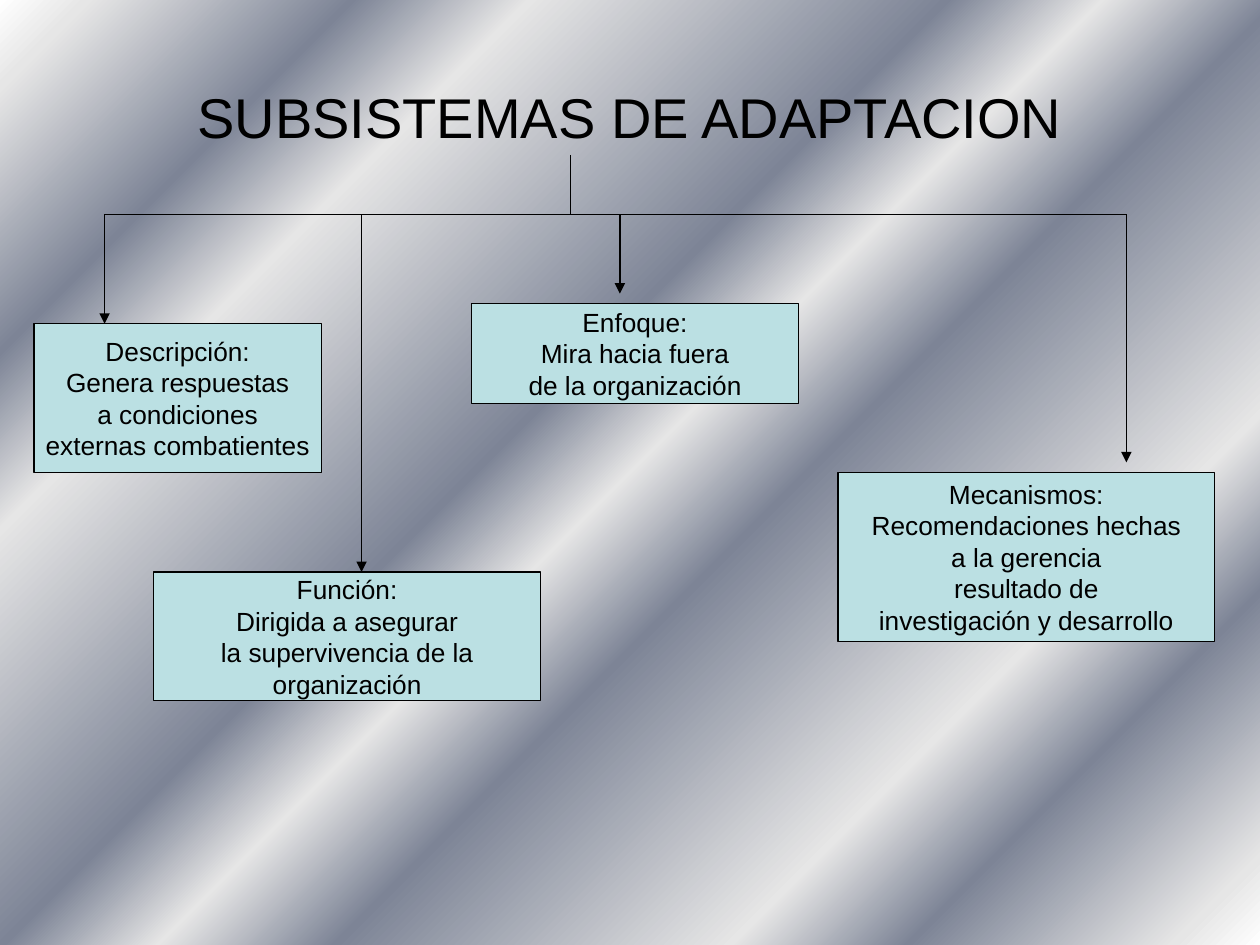
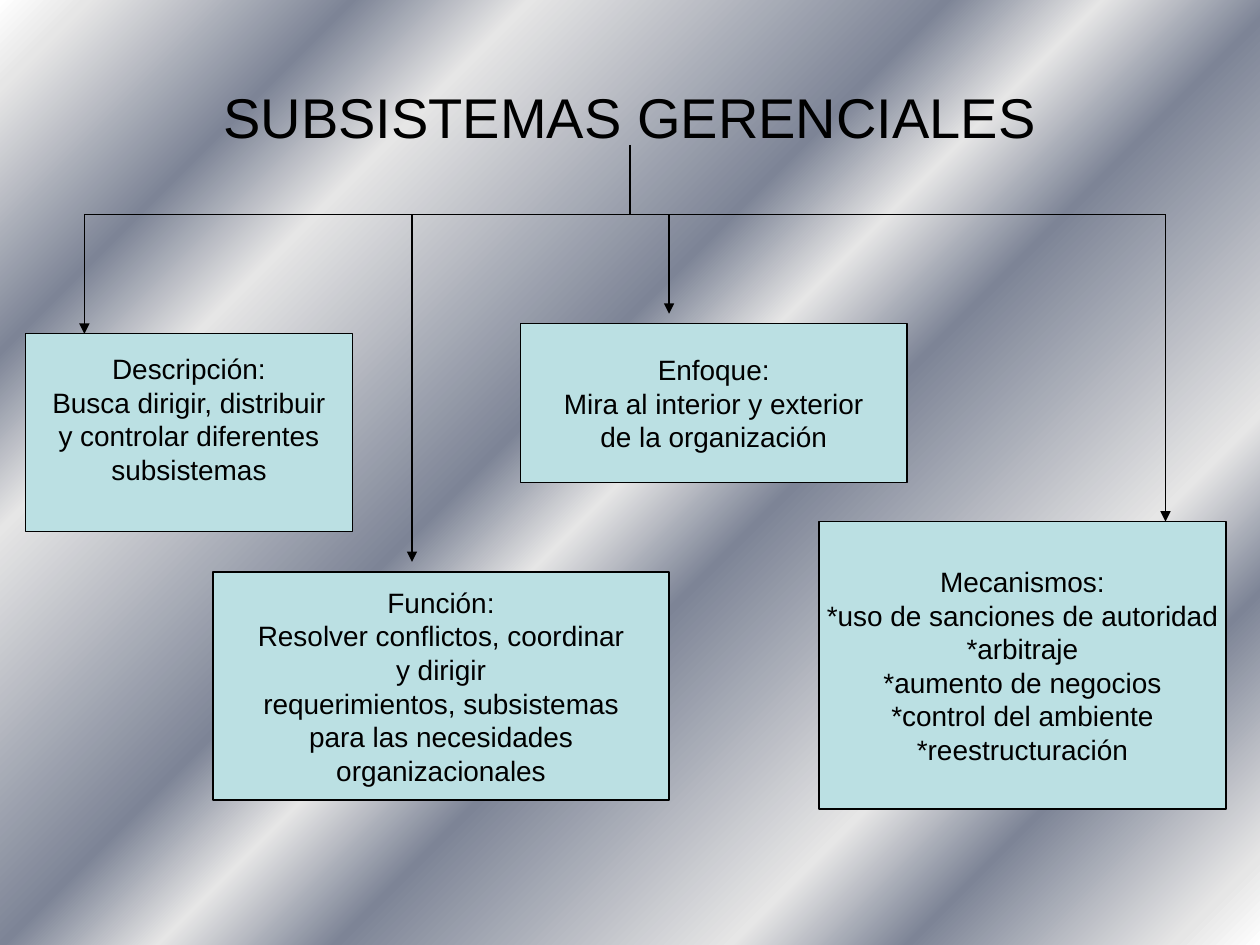
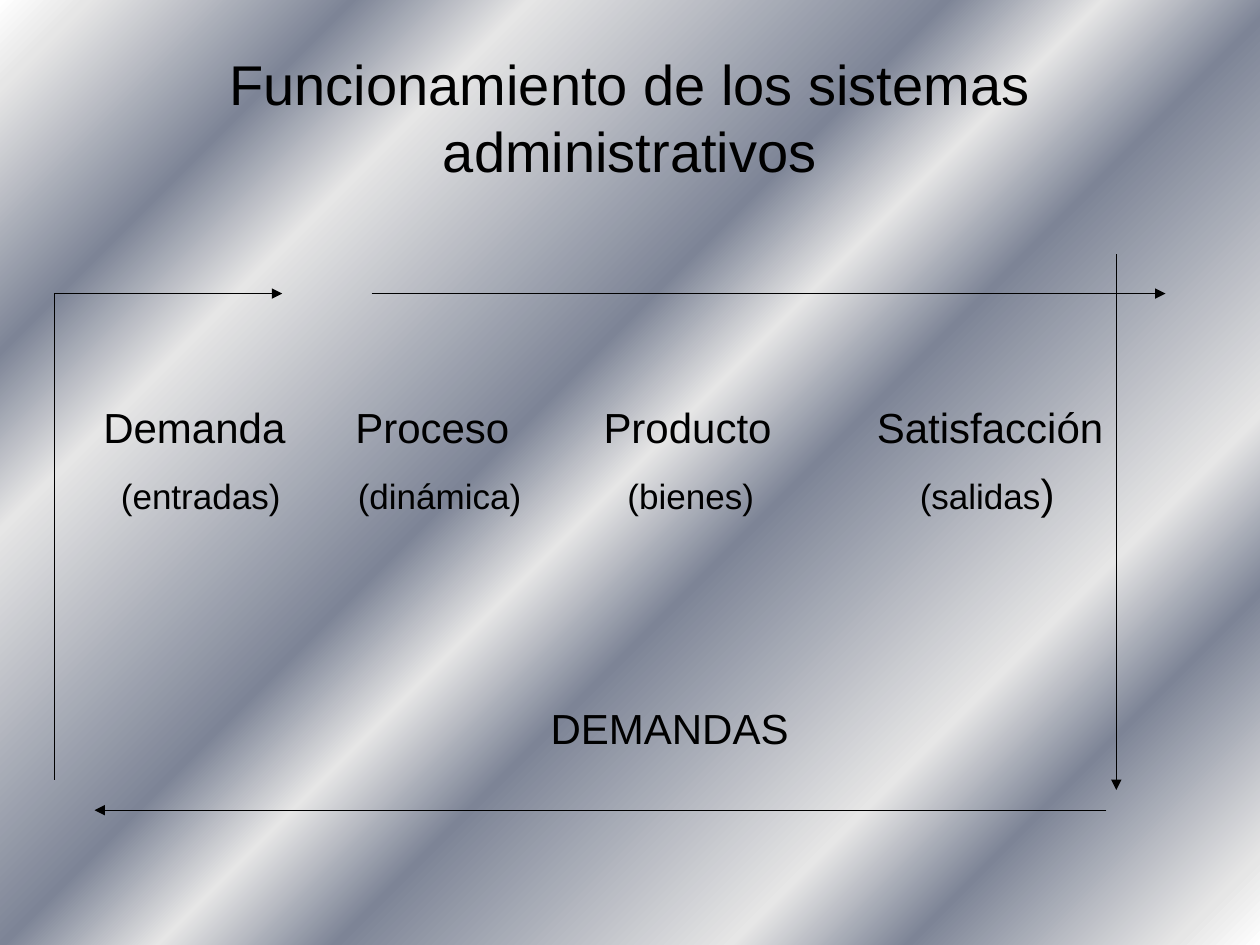
"""Build three slides on administrative subsystems over a shared metallic gradient."""
import lxml.etree
import pptx
import pptx.dml.color
import pptx.enum.dml
import pptx.enum.shapes
import pptx.enum.text
import pptx.oxml.ns
import pptx.util

COLOURS = {"ink": "000000", "box": "BBE0E3", "white": "FFFFFF", "silver": "E6E6E6", "steel": "7D8496"}
STOPS = [(0, "white"), (4, "silver"), (16, "steel"), (24, "silver"), (43, "steel"), (50, "silver"),
         (58, "steel"), (76, "silver"), (84, "steel"), (96, "silver"), (100, "white")]
WIDTH, HEIGHT = pptx.util.Inches(10), pptx.util.Inches(7.5)
COLUMNS, ROWS = 100, 75
TITLE_AREA = (5, 3, 90, 12.5)
RAIL_ROW = 17
CENTER = pptx.enum.text.PP_ALIGN.CENTER
MIDDLE = pptx.enum.text.MSO_ANCHOR.MIDDLE

ADAPTATION = [
    (8.3, 25.7, (2.7, 25.7, 22.8, 11.8), 0.05,
     ["Descripción:", "Genera respuestas", "a condiciones", "externas combatientes"]),
    (28.7, 45.4, (12.2, 45.4, 30.7, 10.2), 0.05,
     ["Función:", "Dirigida a asegurar", "la supervivencia de la", "organización"]),
    (49.2, 23.3, (37.4, 24.1, 26, 7.9), 0.05,
     ["Enfoque:", "Mira hacia fuera", "de la organización"]),
    (89.4, 36.7, (66.5, 37.5, 29.9, 13.4), 0.05,
     ["Mecanismos:", "Recomendaciones hechas", "a la gerencia", "resultado de",
      "investigación y desarrollo"]),
]
MANAGEMENT = [
    (6.7, 26.5, (2, 26.5, 26, 15.7), 0.27,
     ["Descripción:", "Busca dirigir, distribuir", "y controlar diferentes", "subsistemas"]),
    (32.7, 44.6, (16.9, 45.4, 36.2, 18.1), 0.05,
     ["Función:", "Resolver conflictos, coordinar", "y dirigir", "requerimientos, subsistemas",
      "para las necesidades", "organizacionales"]),
    (53.1, 24.9, (41.3, 25.7, 30.7, 12.6), 0.05,
     ["Enfoque:", "Mira al interior y exterior", "de la organización"]),
    (92.5, 41.4, (65, 41.4, 32.3, 22.8), 0.05,
     ["Mecanismos:", "*uso de sanciones de autoridad", "*arbitraje", "*aumento de negocios",
      "*control del ambiente", "*reestructuración"]),
]
STAGES = [
    (0, [3.2, 23.2, 42.9, 64.6], [("\tDemanda\tProceso\tProducto\tSatisfacción", 24)]),
    (8.4, [4.6, 23.4, 44.8, 68], [("\t(entradas)\t(dinámica)\t(bienes)\t(salidas", 20), (")", 24)]),
    (106, [38.7], [("\tDEMANDAS", 24)]),
]
CYCLE = [((4.3, 61.9), (4.3, 23.3), False), ((87.8, 64.3), (7.5, 64.3), True),
         ((4.3, 23.3), (22.4, 23.3), True), ((29.5, 23.3), (92.5, 23.3), True),
         ((88.6, 20.2), (88.6, 62.7), True)]


def colour(name):
    """Return a palette colour."""
    return pptx.dml.color.RGBColor.from_string(COLOURS[name])


def column(count):
    """Return the width of a number of grid columns."""
    return round(WIDTH * count / COLUMNS)


def row(count):
    """Return the height of a number of grid rows."""
    return round(HEIGHT * count / ROWS)


def place(area):
    """Turn left, top, width and height in grid units into lengths."""
    left, top, width, height = area
    return column(left), row(top), column(width), row(height)


def apply(target, **values):
    """Set attributes from format values."""
    for name, value in values.items():
        setattr(target, name, value)


def add_child(parent, tag, **attributes):
    """Append a drawing element to a parent."""
    return lxml.etree.SubElement(parent, pptx.oxml.ns.qn(tag), **attributes)


def paint_background(master):
    """Give every slide the diagonal metallic gradient."""
    fill = master.background.fill
    fill.gradient()
    fill.gradient_angle = 315
    stops = master.element.xpath(".//p:bg//a:gsLst")[0]
    for stop in list(stops):
        stops.remove(stop)
    for percent, name in STOPS:
        stop = add_child(stops, "a:gs", pos=str(percent * 1000))
        add_child(stop, "a:srgbClr", val=COLOURS[name])


def add_span(para, text, size):
    """Add formatted text to a paragraph."""
    span = para.add_run()
    span.text = text
    apply(span.font, name="Arial", size=pptx.util.Pt(size))
    span.font.color.rgb = colour("ink")


def fill_lines(frame, lines, size):
    """Write centred lines, one paragraph each."""
    for index, line in enumerate(lines):
        para = frame.add_paragraph() if index else frame.paragraphs[0]
        para.alignment = CENTER
        add_span(para, line, size)


def add_title(page, text):
    """Add the slide title."""
    frame = page.shapes.add_textbox(*place(TITLE_AREA)).text_frame
    apply(frame, word_wrap=True, vertical_anchor=MIDDLE)
    fill_lines(frame, [text], 32)


def add_line(page, start, end, arrow=False):
    """Draw a thin line between two grid points, with an optional arrowhead."""
    line = page.shapes.add_connector(pptx.enum.shapes.MSO_CONNECTOR.STRAIGHT,
                                     column(start[0]), row(start[1]), column(end[0]), row(end[1]))
    line.line.color.rgb = colour("ink")
    line.line.width = pptx.util.Pt(0.75)
    if arrow:
        add_child(line.line._get_or_add_ln(), "a:tailEnd", type="triangle")
    add_child(line._element.spPr, "a:effectLst")


def add_box(page, area, lines, size, bottom):
    """Draw a filled box with centred lines."""
    box = page.shapes.add_shape(pptx.enum.shapes.MSO_SHAPE.RECTANGLE, *place(area))
    box.shadow.inherit = False
    box.fill.solid()
    box.fill.fore_color.rgb = colour("box")
    box.line.color.rgb = colour("ink")
    box.line.width = pptx.util.Pt(0.75)
    apply(box.text_frame, word_wrap=False, vertical_anchor=MIDDLE,
          margin_bottom=pptx.util.Inches(bottom))
    fill_lines(box.text_frame, lines, size)


def add_tree(page, title, stem, branches, size):
    """Draw a title whose rail drops an arrow to each box."""
    add_title(page, title)
    add_line(page, stem, (stem[0], RAIL_ROW))
    add_line(page, (branches[0][0], RAIL_ROW), (branches[-1][0], RAIL_ROW))
    for across, tip, area, bottom, lines in branches:
        add_line(page, (across, RAIL_ROW), (across, tip), arrow=True)
        add_box(page, area, lines, size, bottom)


def add_stages(page, area, stages):
    """Write the stage names and their notes on tab stops."""
    frame = page.shapes.add_textbox(*place(area)).text_frame
    apply(frame, word_wrap=True, margin_left=0, margin_right=0, margin_top=0, margin_bottom=0)
    for index, (gap, stops, spans) in enumerate(stages):
        para = frame.add_paragraph() if index else frame.paragraphs[0]
        para.space_before = pptx.util.Pt(gap)
        tabs = add_child(para._p.get_or_add_pPr(), "a:tabLst")
        for stop in stops:
            add_child(tabs, "a:tab", pos=str(column(stop)), algn="l")
        for text, size in spans:
            add_span(para, text, size)


def main():
    """Build and save the deck."""
    deck = pptx.Presentation()
    apply(deck, slide_width=WIDTH, slide_height=HEIGHT)
    paint_background(deck.slide_master)
    adaptation, management, cycle = [deck.slides.add_slide(deck.slide_layouts[6]) for _ in range(3)]
    add_tree(adaptation, "SUBSISTEMAS DE ADAPTACION", (45.3, 12.3), ADAPTATION, 15)
    add_tree(management, "SUBSISTEMAS GERENCIALES", (50, 11.5), MANAGEMENT, 16)
    add_title(cycle, "Funcionamiento de los sistemas administrativos")
    add_stages(cycle, (5, 31.9, 90, 28), STAGES)
    for start, end, arrow in CYCLE:
        add_line(cycle, start, end, arrow)
    deck.save("out.pptx")


if __name__ == "__main__":
    main()
